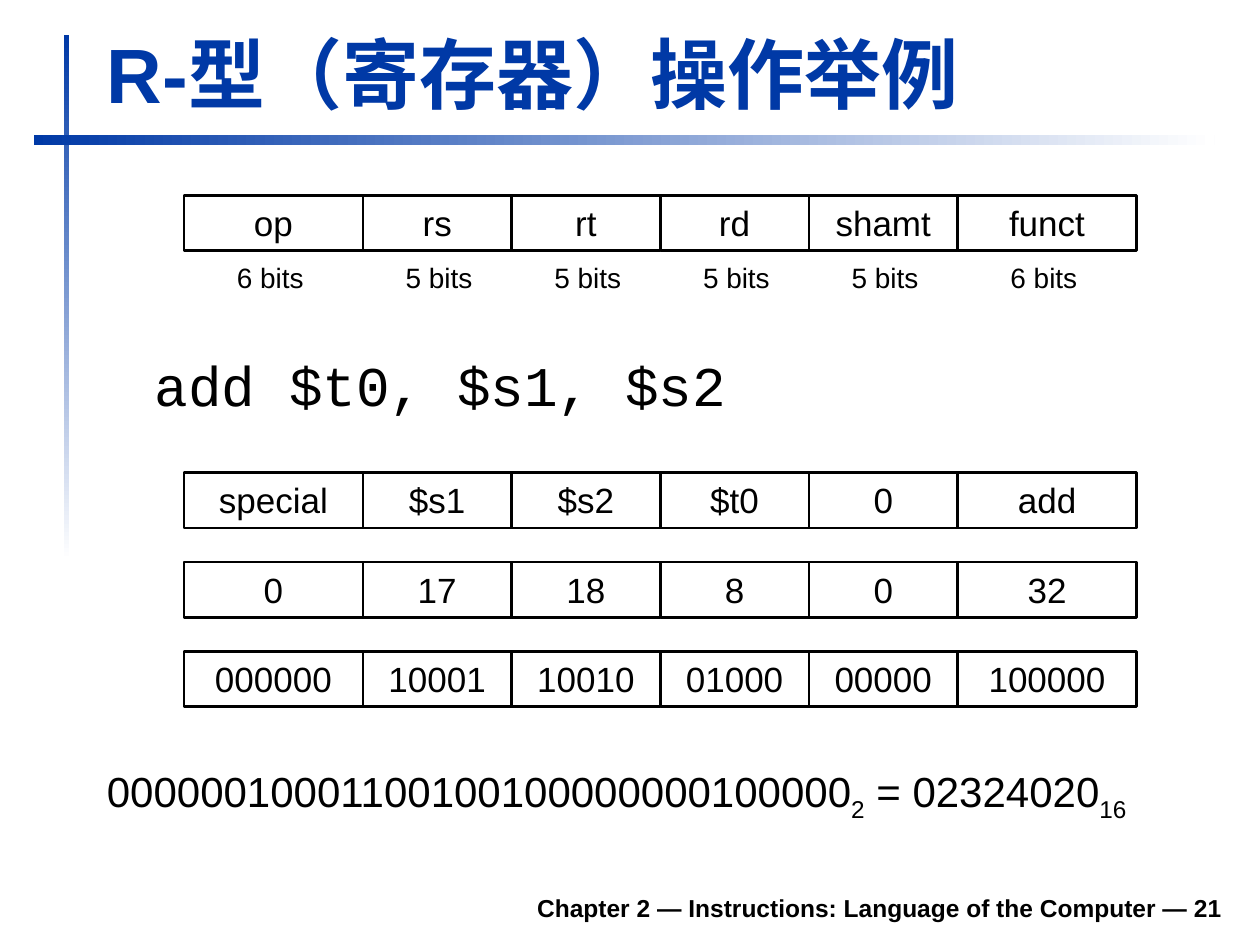
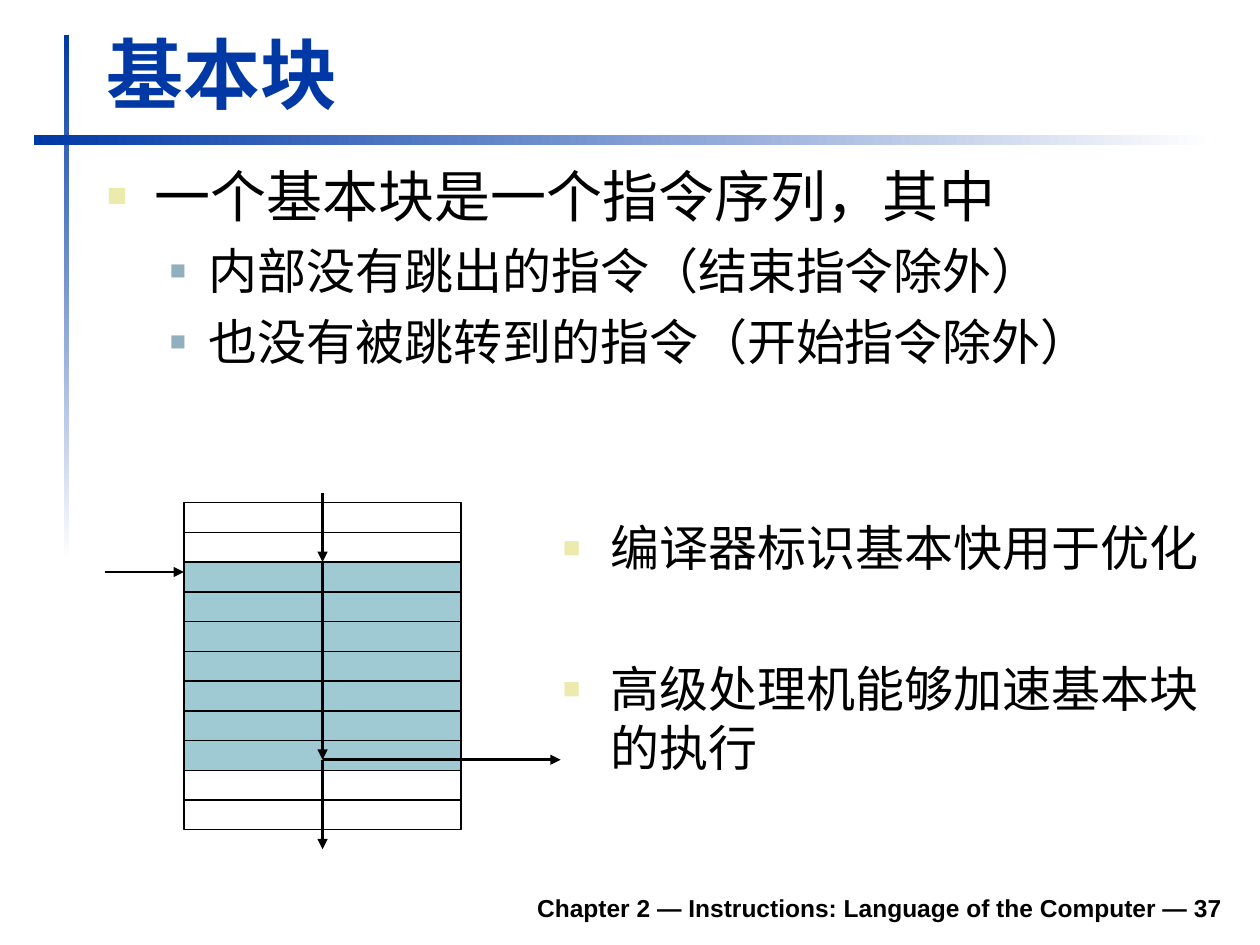
from lxml import etree
from pptx import Presentation
from pptx.dml.color import RGBColor
from pptx.enum import shapes, text
from pptx.oxml import ns
from pptx.util import Inches, Pt

HUES = {
    "blue": "0039A6",
    "white": "FFFFFF",
    "black": "000000",
    "teal": "9FCAD3",
    "cream": "ECEAAC",
    "slate": "91AFBF",
}
LEFT, RIGHT = text.PP_ALIGN.LEFT, text.PP_ALIGN.RIGHT
MID = text.PP_ALIGN.CENTER
TOP, BASE = text.MSO_ANCHOR.TOP, text.MSO_ANCHOR.BOTTOM


def hue(name):
    return RGBColor.from_string(HUES[name])


def add_xml(node, tag, **attrs):
    return etree.SubElement(node, ns.qn(tag), **attrs)


class Deck:
    """Holds the shared style and the current slide."""

    def __init__(self):
        self.prs = Presentation()
        self.prs.slide_width = Inches(10)
        self.prs.slide_height = Inches(7.5)
        self.slide = None

    def start(self, title, number):
        """Open a slide with the shared bands, footer and title."""
        self.slide = self.prs.slides.add_slide(self.prs.slide_layouts[6])
        self.band(0.51, 0.28, 0.04, 4.17, 270)
        self.band(0.27, 1.07, 9.37, 0.08, 0)
        self.label(f"Chapter 2 — Instructions: Language of the Computer — {number}",
                   1.85, 6.98, 7.95, 0.39, 14, align=RIGHT, anchor=BASE, bold=True)
        self.label(title, 0.75, 0.15, 9.03, 0.84, 44, anchor=BASE,
                   bold=True, color="blue")

    def rect(self, x, y, w, h):
        box = self.slide.shapes.add_shape(
            shapes.MSO_SHAPE.RECTANGLE, Inches(x), Inches(y), Inches(w), Inches(h))
        box.shadow.inherit = False
        return box

    def band(self, x, y, w, h, angle):
        """Draw a bar that fades from blue to white."""
        bar = self.rect(x, y, w, h)
        bar.line.fill.background()
        bar.fill.gradient()
        bar.fill.gradient_angle = angle
        for stop, place, name in zip(bar.fill.gradient_stops, (0, 1), ("blue", "white")):
            stop.position = place
            stop.color.rgb = hue(name)

    def cell(self, x, y, w, h, weight, words="", fill=None):
        """Draw an outlined box, see-through unless a fill is named."""
        box = self.rect(x, y, w, h)
        if fill:
            box.fill.solid()
            box.fill.fore_color.rgb = hue(fill)
        else:
            box.fill.background()
        box.line.color.rgb = hue("black")
        box.line.width = Pt(weight)
        if words:
            box.text_frame.text = words
            box.text_frame.vertical_anchor = TOP
            self.style(box.text_frame.paragraphs[0], 20, MID)

    def frame(self, x, y, w, h, anchor=TOP, wrap=True):
        box = self.slide.shapes.add_textbox(Inches(x), Inches(y), Inches(w), Inches(h))
        box.text_frame.word_wrap = wrap
        box.text_frame.vertical_anchor = anchor
        return box.text_frame

    def style(self, para, size, align=LEFT, font="Arial", color="black", bold=False):
        para.alignment = align
        for run in para.runs:
            run.font.size = Pt(size)
            run.font.name = font
            run.font.bold = bold
            run.font.color.rgb = hue(color)

    def label(self, words, x, y, w, h, size, anchor=TOP, wrap=True, **look):
        frame = self.frame(x, y, w, h, anchor, wrap)
        frame.text = words
        self.style(frame.paragraphs[0], size, **look)
        return frame.paragraphs[0]

    def sums(self, parts, x, y, w, h, size):
        """Write (words, subscript) pairs on one line."""
        para = self.frame(x, y, w, h).paragraphs[0]
        for words, base in parts:
            for piece, low in ((words, False), (base, True)):
                run = para.add_run()
                run.text = piece
                if low:
                    run.font._element.set("baseline", "-25000")
        self.style(para, size)

    def bullets(self, items, x, y, w, h):
        """Write (level, size, space before, words) items with square bullets."""
        looks = (0.38, 0.38, "cream", 60), (0.81, 0.31, "slate", 55)
        frame = self.frame(x, y, w, h)
        for i, (level, size, gap, words) in enumerate(items):
            para = frame.add_paragraph() if i else frame.paragraphs[0]
            para.text = words
            para.level = level
            para.space_before = Pt(gap)
            left, hang, color, scale = looks[level]
            props = para._p.get_or_add_pPr()
            props.set("marL", str(Inches(left)))
            props.set("indent", str(-Inches(hang)))
            add_xml(add_xml(props, "a:buClr"), "a:srgbClr", val=HUES[color])
            add_xml(props, "a:buSzPct", val=str(scale * 1000))
            add_xml(props, "a:buFont", typeface="Arial")
            add_xml(props, "a:buChar", char="■")
            self.style(para, size)

    def arrow(self, x1, y1, x2, y2):
        line = self.slide.shapes.add_connector(
            shapes.MSO_CONNECTOR.STRAIGHT, Inches(x1), Inches(y1), Inches(x2), Inches(y2))
        line.line.color.rgb = hue("black")
        line.line.width = Pt(1.5)
        add_xml(line.line._get_or_add_ln(), "a:tailEnd", type="triangle")
        add_xml(line._element.spPr, "a:effectLst")


def format_slide(deck):
    deck.start("R-型（寄存器）操作举例", 21)
    widths = 1.42, 1.18, 1.18, 1.18, 1.18, 1.42
    rows = (
        (1.55, "op rs rt rd shamt funct"),
        (3.75, "special $s1 $s2 $t0 0 add"),
        (4.46, "0 17 18 8 0 32"),
        (5.17, "000000 10001 10010 01000 00000 100000"),
    )
    for y, words in rows:
        for i, word in enumerate(words.split()):
            deck.cell(1.46 + sum(widths[:i]), y, widths[i], 0.44, 1.5, word)
    lefts = 1.78, 3.12, 4.3, 5.48, 6.66, 7.92
    for x, bits in zip(lefts, (6, 5, 5, 5, 5, 6)):
        deck.label(f"{bits} bits", x, 2.02, 0.73, 0.37, 16, wrap=False, align=MID)

    code = deck.label("add $t0, $s1, $s2", 0.75, 2.73, 9.04, 0.71, 32,
                      font="Courier New")
    code._p.get_or_add_pPr().set("marL", str(Inches(0.38)))
    deck.sums((("00000010001100100100000000100000", "2"), (" = 02324020", "16")),
              0.75, 6.03, 8.9, 0.55, 24)


def block_slide(deck):
    deck.start("基本块", 37)
    deck.bullets((
        (0, 32, 0, "一个基本块是一个指令序列，其中"),
        (1, 28, 7, "内部没有跳出的指令（结束指令除外）"),
        (1, 28, 7, "也没有被跳转到的指令（开始指令除外）"),
    ), 0.75, 1.23, 9.04, 2.52)

    count, pitch = 11, 0.236
    block = range(2, 9)
    for i in range(count):
        deck.cell(1.46, 3.99 + i * pitch, 2.2, pitch, 0.75,
                  fill="teal" if i in block else None)
    mid, entry, leave = 2.56, 4.46, 6.03
    for ends in (
        (mid, 3.91, mid, entry),
        (mid, entry, mid, leave),
        (mid, leave, mid, 6.74),
        (mid, leave, 4.45, leave),
        (0.83, 4.54, 1.46, 4.54),
    ):
        deck.arrow(*ends)

    deck.bullets((
        (0, 28, 0, "编译器标识基本快用于优化"),
        (0, 28, 47, "高级处理机能够加速基本块的执行"),
    ), 4.37, 4.06, 5.34, 2.28)


def main():
    deck = Deck()
    format_slide(deck)
    block_slide(deck)
    deck.prs.save("out.pptx")


if __name__ == "__main__":
    main()
